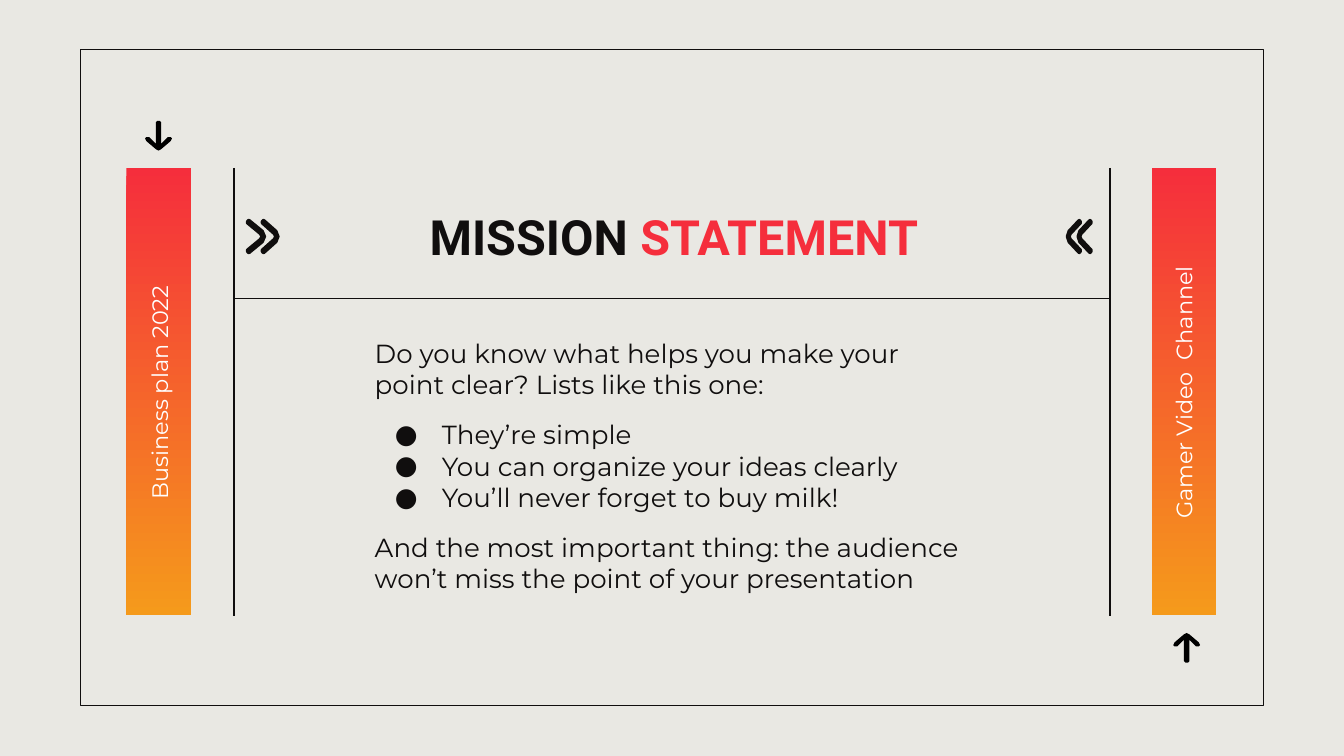
from lxml.etree import SubElement
from pptx import Presentation
from pptx.dml.color import RGBColor
from pptx.enum.shapes import MSO_CONNECTOR as Connector, MSO_SHAPE as Shape
from pptx.enum.text import MSO_ANCHOR as Anchor, MSO_AUTO_SIZE as AutoSize, PP_ALIGN as Align
from pptx.oxml.ns import qn
from pptx.util import Inches, Pt

INK, RED, ORANGE, WHITE = "100E0E", "F52E3C", "F59A1B", "FFFFFF"


def color(hex_string):
    return RGBColor.from_string(hex_string)


def draw_outline(points, fill, line=None):
    corners = [(Inches(x), Inches(y)) for x, y in points]
    builder = slide.shapes.build_freeform(*corners[0], scale=1.0)
    builder.add_line_segments(corners[1:], close=True)
    icon = builder.convert_to_shape()
    icon.shadow.inherit = False
    icon.fill.solid()
    icon.fill.fore_color.rgb = color(fill)
    if line:
        icon.line.color.rgb = color(line)
        icon.line.width = Pt(1.5)
    else:
        icon.line.fill.background()


prs = Presentation()
prs.slide_width = Inches(10)
prs.slide_height = Inches(10) * 9 // 16
slide = prs.slides.add_slide(prs.slide_layouts[5])
slide.background.fill.solid()
slide.background.fill.fore_color.rgb = color("E9E8E3")

frame = slide.shapes.add_shape(Shape.RECTANGLE, Inches(0.6), Inches(0.37), Inches(8.8), Inches(4.88))
frame.shadow.inherit = False
frame.fill.background()
frame.line.color.rgb = color(INK)
frame.line.width = Pt(0.75)

left, right, top, middle, bottom = 1.74, 8.26, 1.25, 2.22, 4.58
for x1, y1, x2, y2 in [(left, top, left, bottom), (right, top, right, bottom), (left, middle, right, middle)]:
    rule = slide.shapes.add_connector(Connector.STRAIGHT, Inches(x1), Inches(y1), Inches(x2), Inches(y2))
    rule.line.color.rgb = color(INK)
    rule.line.width = Pt(0.75)
    SubElement(rule._element.spPr, qn("a:effectLst"))

for bar_left in (8.57, 0.94):
    bar = slide.shapes.add_shape(Shape.RECTANGLE, Inches(bar_left), Inches(top), Inches(0.48), Inches(bottom - top))
    bar.shadow.inherit = False
    bar.line.fill.background()
    bar.fill.gradient()
    bar.fill.gradient_angle = 270
    for stop, position, shade in zip(bar.fill.gradient_stops, (0, 1), (RED, ORANGE)):
        stop.position = position
        stop.color.rgb = color(shade)

title = slide.shapes.title
body, channel, plan = [slide.shapes.add_textbox(0, 0, 0, 0) for _ in range(3)]
title_font = {"name": "Roboto", "size": Pt(26), "bold": True}
body_font = {"name": "Montserrat", "size": Pt(14), "bold": False}
label_font = {"name": "Montserrat", "size": Pt(12), "bold": False}

texts = [
    (title, (2.08, 1.41, 5.87, 0.69), 0, Align.CENTER, title_font,
     [(0, False, [("MISSION ", INK), ("STATEMENT", RED)])]),
    (body, (2.69, 2.39, 4.63, 2.15), 0, Align.LEFT, body_font,
     [(0, False, [("Do you know what helps you make your point clear? Lists like this one:", INK)]),
      (10, True, [("They’re simple", INK)]),
      (0, True, [("You can organize your ideas clearly", INK)]),
      (0, True, [("You’ll never forget to buy milk!", INK)]),
      (10, False, [("And the most important thing: the audience won’t miss the point of your presentation", INK)])]),
    (channel, (7.68, 2.8, 2.25, 0.24), 270, Align.CENTER, label_font,
     [(0, False, [("Gamer Video  Channel", WHITE)])]),
    (plan, (0.27, 2.8, 1.83, 0.24), 270, Align.CENTER, label_font,
     [(0, False, [("Business plan 2022", WHITE)])]),
]
frame_format = {"word_wrap": True, "auto_size": AutoSize.NONE, "vertical_anchor": Anchor.MIDDLE}
frame_format |= {f"margin_{side}": Inches(0.1) for side in ("left", "right", "top", "bottom")}

for box, place, rotation, alignment, font_format, paragraphs in texts:
    box.left, box.top, box.width, box.height = map(Inches, place)
    box.rotation = rotation
    for key, value in frame_format.items():
        setattr(box.text_frame, key, value)
    for index, (space_before, bulleted, runs) in enumerate(paragraphs):
        paragraph = box.text_frame.add_paragraph() if index else box.text_frame.paragraphs[0]
        paragraph.alignment = alignment
        paragraph.space_before = Pt(space_before)
        if bulleted:
            properties = paragraph._p.get_or_add_pPr()
            properties.set("marL", str(Inches(0.5)))
            properties.set("indent", str(Inches(-0.35)))
            bullet_color = SubElement(properties, qn("a:buClr"))
            SubElement(bullet_color, qn("a:srgbClr"), val=INK)
            SubElement(properties, qn("a:buSzPts"), val="1400")
            SubElement(properties, qn("a:buFont"), typeface="Montserrat")
            SubElement(properties, qn("a:buChar"), char="●")
        for words, shade in runs:
            run = paragraph.add_run()
            run.text = words
            run.font.color.rgb = color(shade)
            for key, value in font_format.items():
                setattr(run.font, key, value)

arrow_half = [(0, -0.11), (0.02, -0.1), (0.09, -0.04), (0.1, -0.02), (0.09, -0.01), (0.07, -0.01),
              (0.02, -0.06), (0.02, 0.1), (0.01, 0.11)]
arrow = arrow_half + [(-x, y) for x, y in reversed(arrow_half)]
for center_x, center_y, direction in [(8.83, 4.82, 1), (1.18, 1.01, -1)]:
    draw_outline([(center_x + x, center_y + direction * y) for x, y in arrow], "000000")

chevron_half = [(1, 0), (0.87, -0.04), (0.12, -0.12), (0.06, -0.12), (0, -0.11), (0, -0.1),
                (0.75, -0.02), (0.83, 0)]
chevron = chevron_half + [(x, -y) for x, y in reversed(chevron_half)]
for tail_x, reach in [(1.95, 0.12), (1.84, 0.13), (8.04, -0.1), (8.12, -0.1)]:
    draw_outline([(tail_x + reach * x, 1.76 + y) for x, y in chevron], INK, INK)

prs.save("out.pptx")
